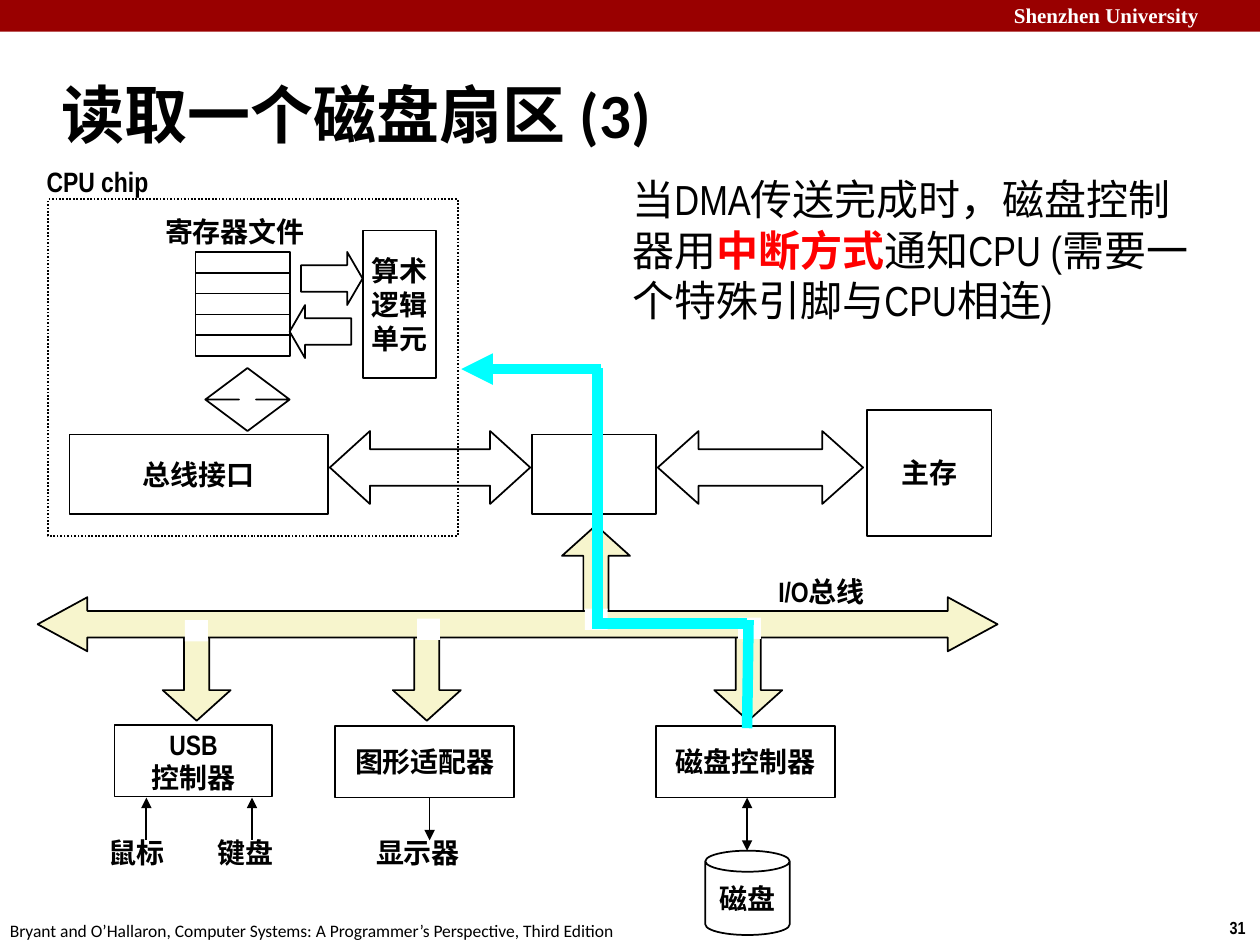
"""Build the slide on reading a disk sector: interrupt after a DMA transfer."""
from lxml.etree import SubElement
from pptx import Presentation
from pptx.dml.color import RGBColor
from pptx.enum.dml import MSO_LINE
from pptx.enum.shapes import MSO_CONNECTOR, MSO_SHAPE as S
from pptx.enum.text import MSO_ANCHOR, MSO_AUTO_SIZE, PP_ALIGN
from pptx.oxml.ns import qn
from pptx.util import Cm, Pt

HUES = {"black": "000000", "white": "FFFFFF", "band": "990000",
        "bus": "F7F5CD", "path": "00FFFF", "alert": "FF0000"}
LABEL = {"name": "Arial Narrow", "size": Pt(16), "bold": True}
BODY = {"name": "Arial Narrow", "size": Pt(24), "bold": False}
HEAD = {"name": "Times New Roman", "size": Pt(12), "bold": True}
PAGE = {"name": "Arial Narrow", "size": Pt(10), "bold": True}
NOTE = {"name": "Calibri", "size": Pt(10), "bold": False}
TITLE = {"name": "Calibri", "size": Pt(36), "bold": True}
RGB = {key: RGBColor.from_string(val) for key, val in HUES.items()}


def put(kind, at, fill=None, line="black", adj=()):
    shape = slide.shapes.add_shape(kind, *map(Cm, at))
    shape.shadow.inherit = False
    for i, val in enumerate(adj):
        shape.adjustments[i] = val
    if fill:
        shape.fill.solid()
        shape.fill.fore_color.rgb = RGB[fill]
    else:
        shape.fill.background()
    if line:
        shape.line.color.rgb = RGB[line]
        shape.line.width = Pt(1)
    else:
        shape.line.fill.background()
    return shape


def write(shape, lines, font, align=PP_ALIGN.LEFT, anchor=MSO_ANCHOR.TOP, wrap=False):
    frame = shape.text_frame
    style = {"word_wrap": wrap, "auto_size": MSO_AUTO_SIZE.NONE, "vertical_anchor": anchor}
    for key, val in style.items():
        setattr(frame, key, val)
    for i, runs in enumerate(lines):
        para = frame.add_paragraph() if i else frame.paragraphs[0]
        para.alignment = align
        for text, hue in runs:
            run = para.add_run()
            run.text = text
            for key, val in font.items():
                setattr(run.font, key, val)
            run.font.color.rgb = RGB[hue]


deck = Presentation()
deck.slide_width, deck.slide_height = Cm(25.4), Cm(19.05)
slide = deck.slides.add_slide(deck.slide_layouts[5])

title = slide.shapes.title
for key, val in zip(("left", "top", "width", "height"), (0.99, 1.22, 21.08, 2.11)):
    setattr(title, key, Cm(val))
write(title, [[("读取一个磁盘扇区 (3)", "black")]], TITLE, anchor=MSO_ANCHOR.MIDDLE, wrap=True)
props = title.text_frame.paragraphs[0]._p.get_or_add_pPr()
props.set("marL", str(Cm(0.33)))
props.set("indent", str(Cm(-0.33)))

put(S.RECTANGLE, (0, 0, 25.4, 0.64), "band", None)

for kind, at, adj in (
    (S.LEFT_RIGHT_ARROW, (13.26, 8.69, 4.14, 1.47), (0.5, 0.56)),
    (S.RECTANGLE, (10.72, 8.76, 2.51, 1.6), ()),
    (S.LEFT_RIGHT_ARROW, (6.65, 8.69, 4.04, 1.47), (0.5, 0.55)),
    (S.RIGHT_ARROW, (6.07, 5.08, 1.24, 1.07), (0.5, 0.29)),
    (S.LEFT_ARROW, (5.84, 6.15, 1.24, 1.07), (0.5, 0.29)),
    (S.UP_DOWN_ARROW, (4.14, 7.42, 1.7, 1.27), (0.5, 0.2)),
):
    put(kind, at, adj=adj)
for row in range(5):
    put(S.RECTANGLE, (3.94, 5.08 + 0.42 * row, 1.91, 0.42))
chip = put(S.RECTANGLE, (0.97, 4.02, 8.26, 6.78))
chip.line.dash_style = MSO_LINE.ROUND_DOT

put(S.UP_ARROW, (11.33, 10.59, 1.37, 1.91), "bus", adj=(0.37, 0.45))
for left in (14.4, 7.92, 3.28):
    put(S.DOWN_ARROW, (left, 12.62, 1.37, 1.91), "bus", adj=(0.37, 0.45))

for kind, at, lines in (
    (S.RECTANGLE, (17.48, 8.26, 2.51, 2.54), ["主存"]),
    (S.RECTANGLE, (7.32, 4.65, 1.47, 2.97), ["算术", "逻辑", "单元"]),
    (S.RECTANGLE, (13.23, 14.63, 3.61, 1.45), ["磁盘控制器"]),
    (S.RECTANGLE, (6.76, 14.63, 3.61, 1.45), ["图形适配器"]),
    (S.RECTANGLE, (2.31, 14.61, 3.18, 1.45), ["USB", "控制器"]),
    (S.CAN, (14.22, 17.15, 1.7, 1.7), ["磁盘"]),
    (S.RECTANGLE, (1.4, 8.76, 5.21, 1.6), ["总线接口"]),
):
    write(put(kind, at), [[(text, "black")] for text in lines], LABEL,
          PP_ALIGN.CENTER, MSO_ANCHOR.MIDDLE)

put(S.LEFT_RIGHT_ARROW, (0.76, 12.04, 19.35, 1.09), "bus", adj=(0.49, 0.92))
for left, top in ((3.73, 12.5), (8.41, 12.47), (14.88, 12.45), (11.79, 12.27)):
    put(S.RECTANGLE, (left, top, 0.46, 0.43), "white", None)

for ends, hue, width, tips in (
    ((2.95, 16.08, 2.95, 16.94), "black", 1, ["headEnd"]),
    ((5.08, 16.08, 5.08, 16.94), "black", 1, ["headEnd"]),
    ((8.66, 16.08, 8.66, 16.94), "black", 1, ["tailEnd"]),
    ((15.06, 16.08, 15.06, 17.15), "black", 1, ["headEnd", "tailEnd"]),
    ((12.12, 7.44, 9.3, 7.44), "path", 6, ["tailEnd"]),
    ((12.04, 7.42, 12.04, 12.5), "path", 6, []),
    ((11.94, 12.57, 15.06, 12.57), "path", 6, []),
    ((15.09, 12.5, 15.06, 14.68), "path", 6, []),
):
    link = slide.shapes.add_connector(MSO_CONNECTOR.STRAIGHT, *map(Cm, ends))
    link.line.color.rgb = RGB[hue]
    link.line.width = Pt(width)
    for tip in tips:
        SubElement(link.line._get_or_add_ln(), qn("a:" + tip), type="triangle")
    SubElement(link._element.spPr, qn("a:effectLst"))

MID, TOP = MSO_ANCHOR.MIDDLE, MSO_ANCHOR.TOP
LEFT, CENTER = PP_ALIGN.LEFT, PP_ALIGN.CENTER
for at, runs, font, align, anchor, wrap in (
    ((20.19, -0.08, 5.38, 0.76), [("Shenzhen University", "white")], HEAD, LEFT, TOP, True),
    ((24.54, 18.36, 0.86, 0.69), [("31", "black")], PAGE, LEFT, TOP, False),
    ((-0.05, 18.42, 12.93, 0.69),
     [("Bryant and O’Hallaron, Computer Systems: A Programmer’s Perspective, Third Edition",
       "black")], NOTE, LEFT, TOP, False),
    ((3.07, 4.19, 3.33, 0.94), [("寄存器文件", "black")], LABEL, CENTER, MID, False),
    ((0.69, 3.18, 3.02, 0.94), [("CPU chip", "black")], LABEL, LEFT, MID, False),
    ((1.93, 16.71, 1.65, 0.94), [("鼠标", "black")], LABEL, CENTER, MID, False),
    ((4.14, 16.71, 1.63, 0.94), [("键盘", "black")], LABEL, CENTER, MID, False),
    ((7.32, 16.71, 2.21, 0.94), [("显示器", "black")], LABEL, CENTER, MID, False),
    ((15.44, 11.46, 2.26, 0.94), [("I/O总线", "black")], LABEL, LEFT, MID, True),
    ((12.5, 3.38, 12.07, 3.3),
     [("当DMA传送完成时，磁盘控制器用", "black"), ("中断方式", "alert"),
      ("通知CPU (需要一个特殊引脚与CPU相连)", "black")], BODY, LEFT, TOP, True),
):
    box = slide.shapes.add_textbox(*map(Cm, at))
    write(box, [runs], font, align, anchor, wrap)
    for run in box.text_frame.paragraphs[0].runs:
        run.font.bold = font["bold"] or run.text == "中断方式"

deck.save("out.pptx")
